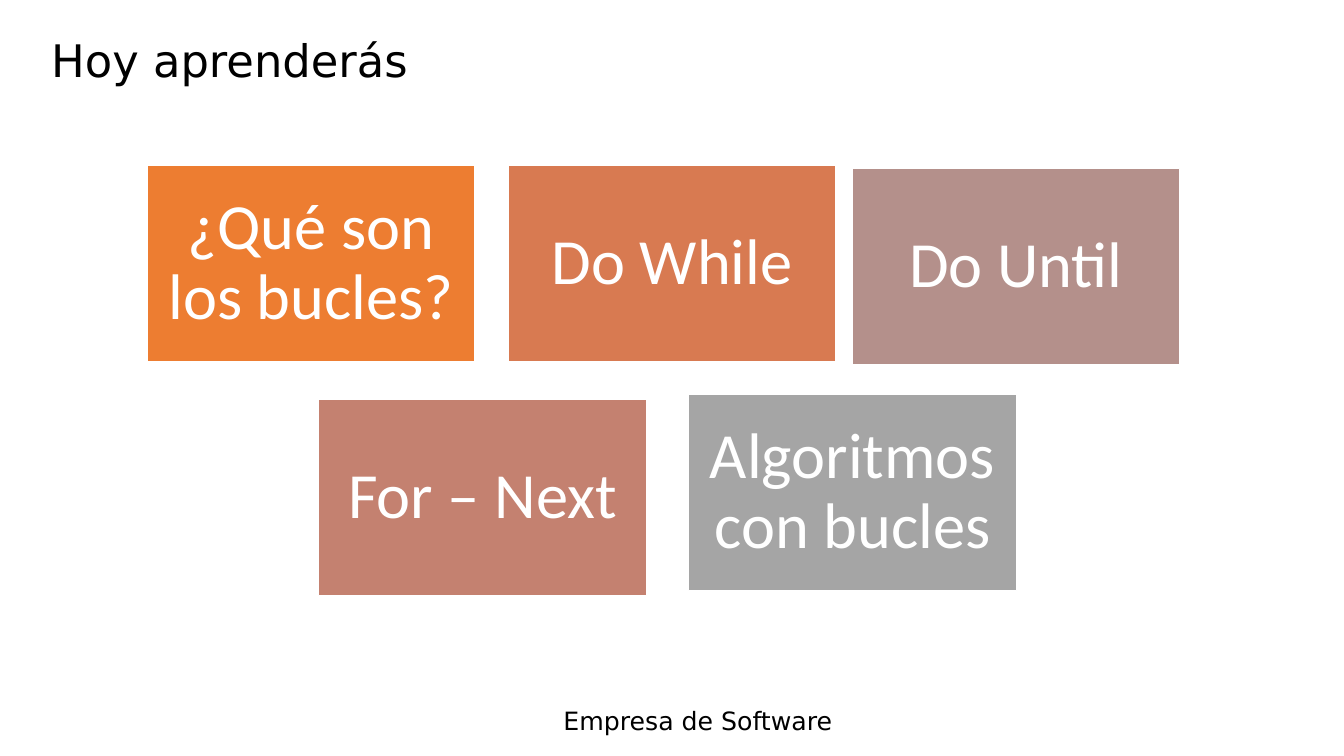
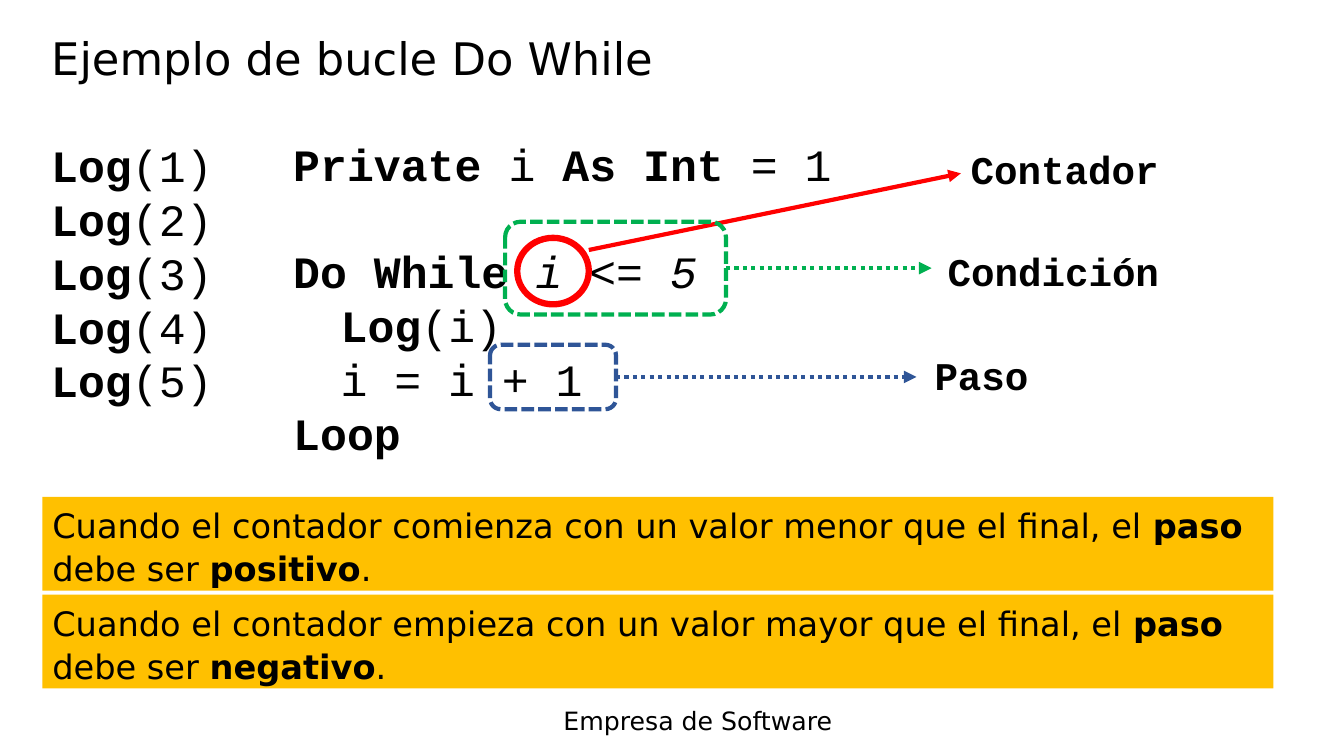
"""Builds two slides that introduce loops and the Do While example."""
from dataclasses import dataclass

from lxml import etree
from pptx import Presentation
from pptx import util as u
from pptx.dml.color import RGBColor
from pptx.enum import dml, shapes, text
from pptx.oxml import ns


@dataclass(frozen=True)
class Theme:
    black: str = "000000"
    white: str = "FFFFFF"
    red: str = "FF0000"
    green: str = "00B050"
    blue: str = "2F5597"
    amber: str = "FFC000"
    body_font: str = "DejaVu Sans"
    tile_font: str = "Calibri"
    code_font: str = "Courier New"
    title_size: int = 32
    footer_size: int = 18
    tile_size: int = 46
    code_size: int = 32
    label_size: int = 28
    band_size: int = 24


theme = Theme()


def write_text(shape, lines, size, font, color=theme.black, anchor=text.MSO_ANCHOR.TOP,
               align=text.PP_ALIGN.LEFT, spacing=1.0):
    """Fill a shape with lines, each a list of (words, style) runs."""
    frame = shape.text_frame
    frame.word_wrap = True
    frame.vertical_anchor = anchor
    for index, runs in enumerate(lines):
        paragraph = frame.add_paragraph() if index else frame.paragraphs[0]
        paragraph.alignment = align
        paragraph.line_spacing = spacing
        paragraph.font.size = u.Pt(size)
        paragraph.font.name = font
        paragraph.font.color.rgb = RGBColor.from_string(color)
        for words, style in runs:
            run = paragraph.add_run()
            run.text = words
            if style == "bold":
                run.font.bold = True
            elif style == "italic":
                run.font.italic = True
    return frame


def add_titled_slide(title, top):
    """Add a slide with the shared title and footer."""
    slide = presentation.slides.add_slide(presentation.slide_layouts[6])
    footer = slide.shapes.add_textbox(u.Inches(5.49), u.Inches(6.95), u.Inches(2.9), u.Inches(0.4))
    write_text(footer, [[("Empresa de Software", "")]], theme.footer_size, theme.body_font)
    heading = slide.shapes.add_textbox(u.Inches(0.41), u.Inches(top), u.Inches(12.01), u.Inches(0.95))
    write_text(heading, [[(title, "")]], theme.title_size, theme.body_font,
               anchor=text.MSO_ANCHOR.MIDDLE, spacing=0.9)
    return slide


presentation = Presentation()
presentation.slide_width = u.Inches(13.33)
presentation.slide_height = u.Inches(7.5)

slide = add_titled_slide("Hoy aprenderás", 0.15)
topics = [
    ("¿Qué son los bucles?", 1.46, 1.64, "ED7D31"),
    ("Do While", 5.04, 1.64, "D87A51"),
    ("For – Next", 3.16, 3.96, "C48170"),
    ("Do Until", 8.45, 1.67, "B4908B"),
    ("Algoritmos con bucles", 6.83, 3.91, "A5A5A5"),
]
for topic, left, top, color in topics:
    tile = slide.shapes.add_shape(shapes.MSO_SHAPE.RECTANGLE, u.Inches(left), u.Inches(top),
                                  u.Inches(3.25), u.Inches(1.95))
    tile.shadow.inherit = False
    tile.fill.solid()
    tile.fill.fore_color.rgb = RGBColor.from_string(color)
    tile.line.color.rgb = RGBColor.from_string(theme.white)
    tile.line.width = u.Pt(1)
    frame = write_text(tile, [[(topic, "")]], theme.tile_size, theme.tile_font, theme.white,
                       text.MSO_ANCHOR.MIDDLE, text.PP_ALIGN.CENTER, 0.9)
    frame.margin_left = frame.margin_right = u.Inches(0.19)
    frame.margin_top = frame.margin_bottom = u.Inches(0.19)

slide = add_titled_slide("Ejemplo de bucle Do While", 0.13)
log_box = slide.shapes.add_textbox(u.Inches(0.41), u.Inches(1.32), u.Inches(2), u.Inches(3.42))
log_lines = [[("Log", "bold"), (f"({number})", "")] for number in range(1, 6)]
write_text(log_box, log_lines, theme.code_size, theme.code_font)

code_box = slide.shapes.add_textbox(u.Inches(2.81), u.Inches(1.31), u.Inches(5.89), u.Inches(3.42))
code_lines = [
    [("Private ", "bold"), ("i ", ""), ("As Int ", "bold"), ("= 1", "")],
    [("Do While ", "bold"), ("i <= 5", "italic")],
    [("Log", "bold"), ("(i)", "")],
    [("i = i + 1", "")],
    [("Loop", "bold")],
]
code_frame = write_text(code_box, code_lines, theme.code_size, theme.code_font)
code_frame.paragraphs[1].space_before = u.Pt(38)
for paragraph in code_frame.paragraphs[2:4]:
    paragraph._p.get_or_add_pPr().set("marL", str(u.Inches(0.47)))

oval, rounded = shapes.MSO_SHAPE.OVAL, shapes.MSO_SHAPE.ROUNDED_RECTANGLE
dashed, dotted = dml.MSO_LINE.SQUARE_DOT, dml.MSO_LINE.ROUND_DOT
callouts = [
    ("Contador", theme.red, oval, (5.13, 2.36, 0.71, 0.66), 4.5, (2.48, 9.53, 1.72), (9.53, 1.39, 2.17)),
    ("Condición", theme.green, rounded, (5.01, 2.2, 2.19, 0.92), 3, (2.66, 9.24, 2.66), (9.3, 2.4, 2.69)),
    ("Paso", theme.blue, rounded, (4.86, 3.42, 1.25, 0.64), 3, (3.74, 9.09, 3.74), (9.17, 3.44, 2.69)),
]
for name, color, outline, box, weight, (start_y, end_x, end_y), (left, top, width) in callouts:
    marker = slide.shapes.add_shape(outline, *[u.Inches(value) for value in box])
    marker.shadow.inherit = False
    marker.fill.background()
    arrow = slide.shapes.add_connector(shapes.MSO_CONNECTOR.STRAIGHT, u.Inches(box[0] + box[2]),
                                       u.Inches(start_y), u.Inches(end_x), u.Inches(end_y))
    for drawn, thickness in ((marker, weight), (arrow, 3)):
        drawn.line.color.rgb = RGBColor.from_string(color)
        drawn.line.width = u.Pt(thickness)
    if outline == rounded:
        marker.line.dash_style = dashed
        arrow.line.dash_style = dotted
        arrow.begin_connect(marker, 3)
    etree.SubElement(arrow.line._get_or_add_ln(), ns.qn("a:tailEnd"), type="triangle")
    etree.SubElement(arrow._element.spPr, ns.qn("a:effectLst"))
    label = slide.shapes.add_textbox(u.Inches(left), u.Inches(top), u.Inches(width), u.Inches(0.57))
    write_text(label, [[(name, "bold")]], theme.label_size, theme.code_font)

rules = [("comienza", "menor", "positivo"), ("empieza", "mayor", "negativo")]
for index, (verb, comparison, sign) in enumerate(rules):
    band = slide.shapes.add_shape(shapes.MSO_SHAPE.RECTANGLE, u.Inches(0.42),
                                  u.Inches(4.93 + 0.97 * index), u.Inches(12.21), u.Inches(0.93))
    band.shadow.inherit = False
    band.fill.solid()
    band.fill.fore_color.rgb = RGBColor.from_string(theme.amber)
    band.line.fill.background()
    sentence = [
        (f"Cuando el contador {verb} con un valor {comparison} que el final, el ", ""),
        ("paso", "bold"), (" debe ser ", ""), (sign, "bold"), (".", ""),
    ]
    write_text(band, [sentence], theme.band_size, theme.body_font, spacing=1.07)

presentation.save("out.pptx")
